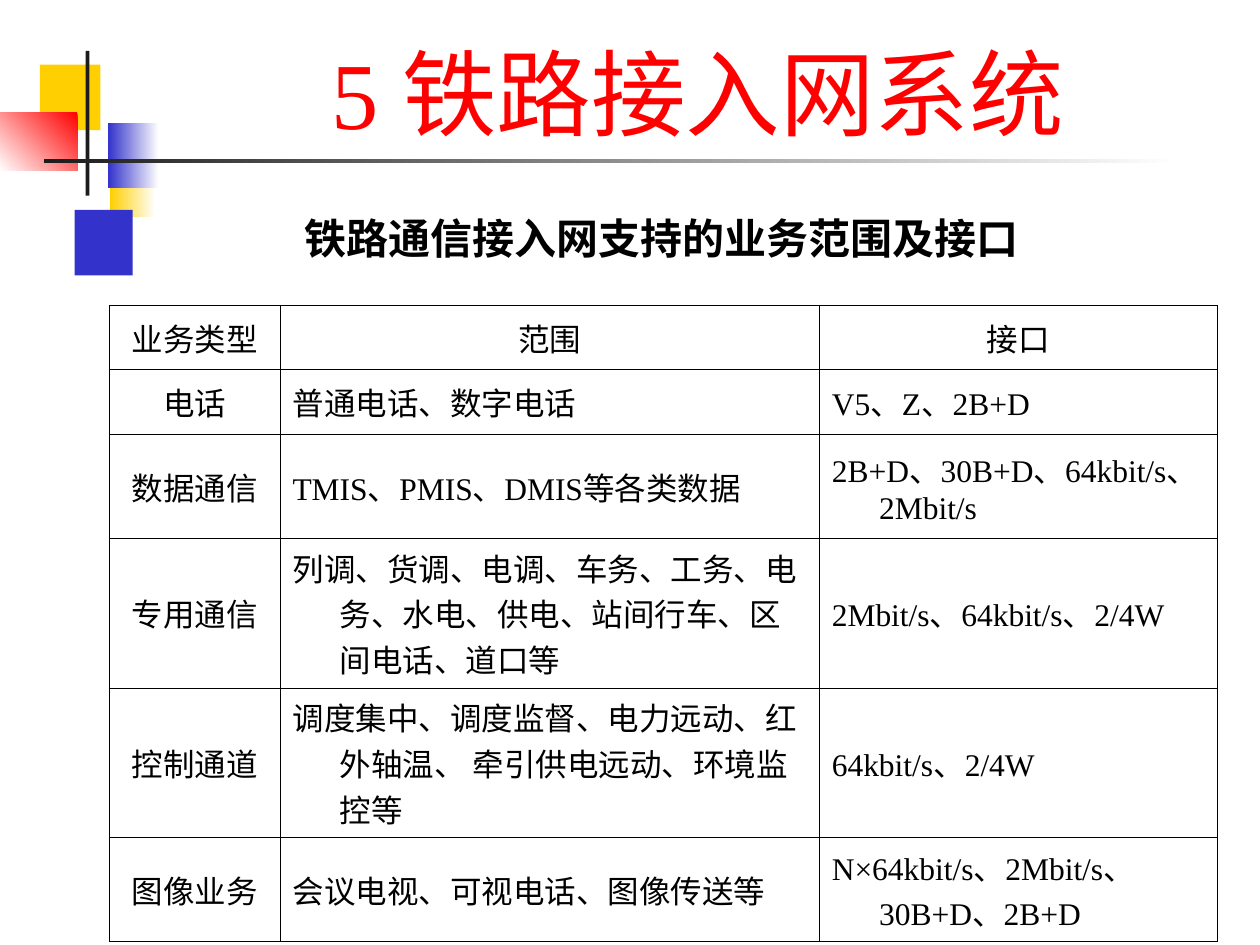
from dataclasses import dataclass

from lxml import etree
from pptx import Presentation
from pptx.dml.color import RGBColor
from pptx.enum.shapes import MSO_SHAPE
from pptx.enum.text import MSO_ANCHOR, MSO_AUTO_SIZE, PP_ALIGN
from pptx.oxml.ns import qn
from pptx.util import Inches, Pt

RECTANGLE = MSO_SHAPE.RECTANGLE
MIDDLE, BOTTOM = MSO_ANCHOR.MIDDLE, MSO_ANCHOR.BOTTOM
LEFT, CENTER = PP_ALIGN.LEFT, PP_ALIGN.CENTER
FIT_SHAPE = MSO_AUTO_SIZE.SHAPE_TO_FIT_TEXT


@dataclass(frozen=True)
class Theme:
    white: str = "FFFFFF"
    black: str = "000000"
    ink: str = "1C1C1C"
    red: str = "FF0000"
    yellow: str = "FFCF01"
    blue: str = "3333CC"
    serif: str = "Times New Roman"
    sans: str = "Roboto"
    title_size: int = 54
    subtitle_size: int = 24
    table_size: int = 18
    border: float = 0.45


theme = Theme()
deck = Presentation()
deck.slide_width, deck.slide_height = Inches(10), Inches(7.5)
page = deck.slides.add_slide(deck.slide_layouts[6])

# The page is a grid of 100 columns by 75 rows
COLUMN = deck.slide_width // 100
ROW = deck.slide_height // 75


def on_grid(left, top, width, height):
    return int(left * COLUMN), int(top * ROW), int(width * COLUMN), int(height * ROW)


def write(frame, text, size, font, color, align, bold=False):
    para = frame.paragraphs[0]
    para.text = text
    para.alignment = align
    para.font.size = Pt(size)
    para.font.name = font
    para.font.bold = bold
    para.font.color.rgb = RGBColor.from_string(color)
    return para


# Corner ornament: place, colours (one is solid, two fade), gradient angle
ornament = [
    ((8.75, 12, 3.6, 5.2), (theme.white, theme.yellow), 180),
    ((5.93, 16.65, 4.6, 5.2), (theme.blue,), None),
    ((3.17, 5.13, 4.8, 5.2), (theme.yellow,), None),
    ((8.6, 9.75, 4, 5.2), (theme.white, theme.blue), 180),
    ((0, 8.9, 6.15, 4.65), (theme.red, theme.white), 225),
    ((6.8, 4.03, 0.3, 11.5), (theme.ink,), None),
    ((3.5, 12.62, 90, 0.32), (theme.white, theme.ink), 180),
]
for place, colors, angle in ornament:
    block = page.shapes.add_shape(RECTANGLE, *on_grid(*place))
    block.shadow.inherit = False
    block.line.fill.background()
    if angle is None:
        block.fill.solid()
        block.fill.fore_color.rgb = RGBColor.from_string(colors[0])
    else:
        block.fill.gradient()
        block.fill.gradient_angle = angle
        for stop, color in zip(block.fill.gradient_stops, colors):
            stop.color.rgb = RGBColor.from_string(color)

# Title
title = page.shapes.add_textbox(*on_grid(12.75, 2.2, 85.2, 10.1)).text_frame
title.word_wrap = True
title.vertical_anchor = BOTTOM
write(title, "5 铁路接入网系统", theme.title_size, theme.serif, theme.red, CENTER)

# Service table
services = [
    ("业务类型", "范围", "接口"),
    ("电话", "普通电话、数字电话", "V5、Z、2B+D"),
    ("数据通信", "TMIS、PMIS、DMIS等各类数据", "2B+D、30B+D、64kbit/s、2Mbit/s"),
    ("专用通信", "列调、货调、电调、车务、工务、电务、水电、供电、站间行车、区间电话、道口等",
     "2Mbit/s、64kbit/s、2/4W"),
    ("控制通道", "调度集中、调度监督、电力远动、红外轴温、 牵引供电远动、环境监控等",
     "64kbit/s、2/4W"),
    ("图像业务", "会议电视、可视电话、图像传送等", "N×64kbit/s、2Mbit/s、30B+D、2B+D"),
]
column_widths = [13.55, 42.8, 31.6]
# Row height depends on the number of text lines in the row
line_heights = {1: 5.13, 2: 8.25, 3: 11.87}
row_heights = [line_heights[lines] for lines in (1, 1, 2, 3, 3, 2)]
hanging_indent = int(3.75 * COLUMN)

table = page.shapes.add_table(
    len(services), len(column_widths),
    *on_grid(8.67, 24.22, sum(column_widths), sum(row_heights))).table
for column, width in zip(table.columns, column_widths):
    column.width = int(width * COLUMN)
for row, height in zip(table.rows, row_heights):
    row.height = int(height * ROW)

for row_index, service in enumerate(services):
    for column_index, text in enumerate(service):
        cell = table.cell(row_index, column_index)
        cell.vertical_anchor = MIDDLE
        align = CENTER if row_index == 0 or column_index == 0 else LEFT
        para = write(cell.text_frame, text, theme.table_size, theme.serif,
                     theme.black, align)
        indents = para._p.get_or_add_pPr()
        indents.set("marL", str(hanging_indent))
        indents.set("indent", str(-hanging_indent))

        # Borders come before the fill in the cell properties
        properties = cell._tc.get_or_add_tcPr()
        for side in ("a:lnL", "a:lnR", "a:lnT", "a:lnB"):
            edge = etree.SubElement(properties, qn(side), w=str(int(Pt(theme.border))))
            paint = etree.SubElement(edge, qn("a:solidFill"))
            etree.SubElement(paint, qn("a:srgbClr"), val=theme.black)
        cell.fill.solid()
        cell.fill.fore_color.rgb = RGBColor.from_string(theme.white)

# Table heading
heading = page.shapes.add_textbox(*on_grid(23.2, 16.35, 59.4, 5)).text_frame
heading.word_wrap = False
heading.auto_size = FIT_SHAPE
heading.vertical_anchor = MIDDLE
write(heading, "铁路通信接入网支持的业务范围及接口", theme.subtitle_size, theme.sans,
      theme.black, LEFT, bold=True)

deck.save("out.pptx")
